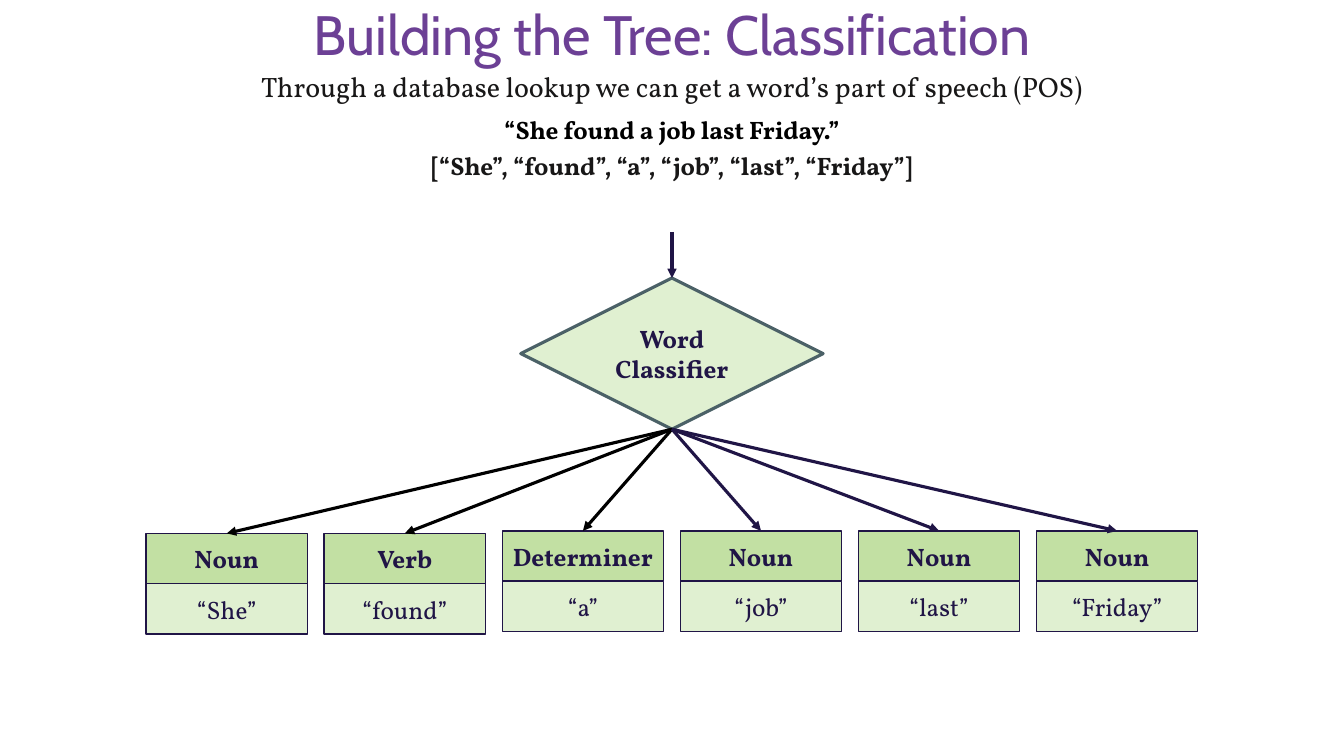
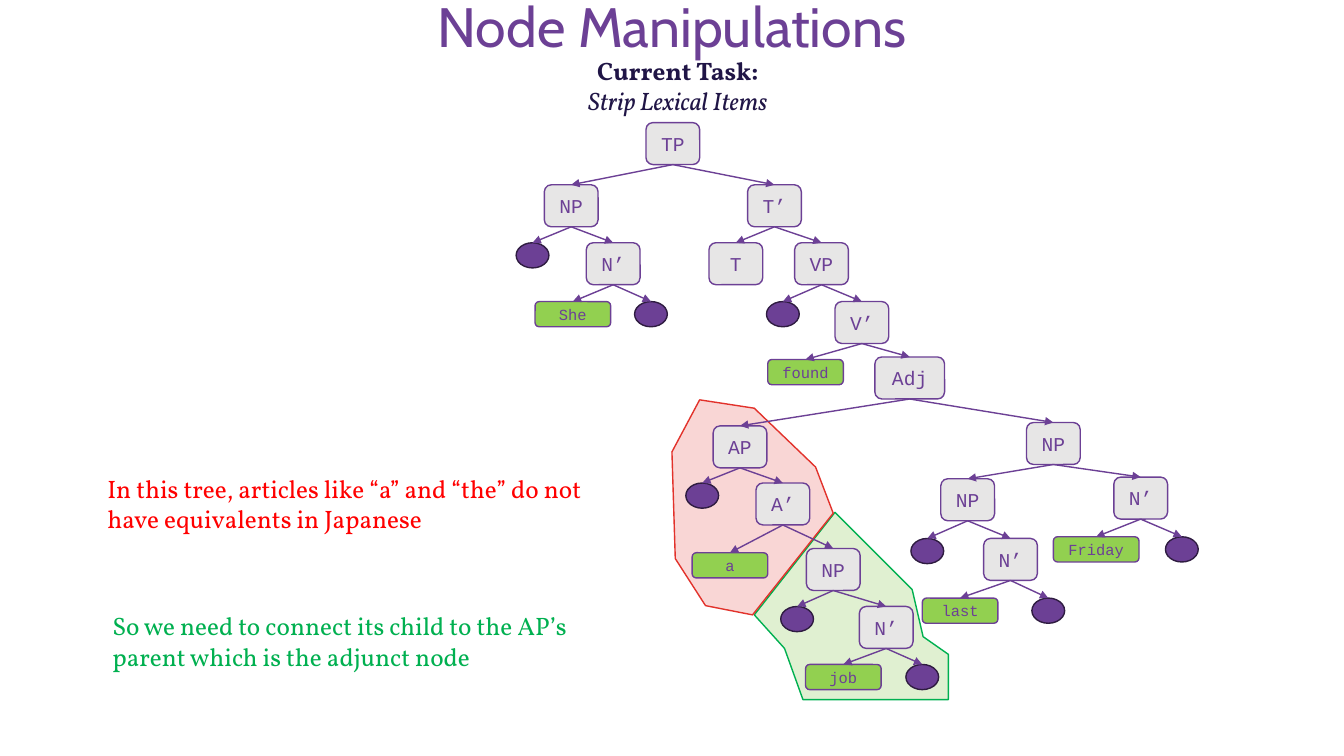
from pptx import Presentation
from pptx.dml.color import RGBColor
from pptx.enum.shapes import MSO_CONNECTOR, MSO_SHAPE
from pptx.enum.text import MSO_ANCHOR, PP_ALIGN
from pptx.oxml.ns import qn
from pptx.util import Inches, Pt
from lxml.etree import SubElement

COLUMNS, ROWS = 160, 90  # square cells, 12 to the inch
PURPLE, NAVY, INK = "6C4095", "201546", "181717"
BLACK, WHITE, RED, GREEN = "000000", "FFFFFF", "FF0000", "00B050"
PALE_GREEN, MID_GREEN, LEAF_GREEN = "E0F0D1", "C2E0A3", "92D050"
SLATE, GREY, PLUM = "4B6167", "E7E6E6", "2F1C41"
PALE_RED, EDGE_RED = "F9D6D5", "E2322B"
TITLE_FONT, BODY_FONT, NODE_FONT = "Cabin", "Vollkorn", "Courier New"


def rgb(hex_code):
    return RGBColor.from_string(hex_code)


def cells(*counts):
    """Turn counts of grid cells into lengths."""
    return [Inches(count / 12) for count in counts]


class Deck:
    def __init__(self):
        self.show = Presentation()
        self.show.slide_width, self.show.slide_height = cells(COLUMNS, ROWS)
        self.slide = None

    def new_slide(self):
        self.slide = self.show.slides.add_slide(self.show.slide_layouts[6])

    def fill_text(self, frame, lines, size, color, font=BODY_FONT, bold=False,
                  align=PP_ALIGN.CENTER):
        frame.text = lines
        for paragraph in frame.paragraphs:
            paragraph.alignment = align
            paragraph.font.size = Pt(size)
            paragraph.font.name = font
            paragraph.font.bold = bold
            paragraph.font.color.rgb = rgb(color)

    def text(self, lines, left, top, width, height, size, color, **style):
        frame = self.slide.shapes.add_textbox(
            *cells(left, top, width, height)).text_frame
        frame.word_wrap = True
        self.fill_text(frame, lines, size, color, **style)
        return frame

    def title(self, words, top, height):
        frame = self.text(words, 11, top, 138, height, 39.6, PURPLE,
                          font=TITLE_FONT)
        frame.vertical_anchor = MSO_ANCHOR.MIDDLE
        frame.paragraphs[0].line_spacing = 0.9

    def banner(self, words, top, color):
        """Place a one-cell table across the middle of the slide."""
        width = 106.7
        table = self.slide.shapes.add_table(
            1, 1, *cells((COLUMNS - width) / 2, top, width, 4.9)).table
        table.first_row = table.horz_banding = False
        cell = table.cell(0, 0)
        cell.fill.solid()
        cell.fill.fore_color.rgb = rgb(WHITE)
        self.fill_text(cell.text_frame, words, 18, color, bold=True)

    def paint(self, shape, fill, edge, weight):
        shape.shadow.inherit = False
        shape.fill.solid()
        shape.fill.fore_color.rgb = rgb(fill)
        shape.line.color.rgb = rgb(edge)
        shape.line.width = Pt(weight)

    def box(self, kind, center, top, width, height, fill, edge, weight=1,
            label="", **style):
        shape = self.slide.shapes.add_shape(
            kind, *cells(center - width / 2, top, width, height))
        self.paint(shape, fill, edge, weight)
        if label:
            shape.text_frame.word_wrap = False
            shape.text_frame.vertical_anchor = MSO_ANCHOR.MIDDLE
            self.fill_text(shape.text_frame, label, **style)
        return shape

    def region(self, corners, fill, edge):
        start, *others = [cells(*corner) for corner in corners]
        outline = self.slide.shapes.build_freeform(*start)
        outline.add_line_segments(others, close=True)
        self.paint(outline.convert_to_shape(), fill, edge, 1)

    def arrow(self, color, weight, child, parent=None, start=(0, 0)):
        """Point at the top of child from parent's bottom, or from start."""
        line = self.slide.shapes.add_connector(
            MSO_CONNECTOR.STRAIGHT, *cells(*start, *start))
        if parent is not None:
            line.begin_connect(parent, 2)
        line.end_connect(child, 0)
        line.line.color.rgb = rgb(color)
        line.line.width = Pt(weight)
        properties = line._element.spPr
        SubElement(properties.find(qn("a:ln")), qn("a:tailEnd"), type="triangle")
        SubElement(properties, qn("a:effectLst"))

    def card(self, part_of_speech, word, center, top):
        width, height = 19.2, 6
        head = self.box(MSO_SHAPE.RECTANGLE, center, top, width, height,
                        MID_GREEN, NAVY, label=part_of_speech, size=18,
                        color=NAVY, bold=True)
        self.box(MSO_SHAPE.RECTANGLE, center, top + height, width, height,
                 PALE_GREEN, NAVY, label=word, size=18, color=NAVY)
        return head

    def phrase(self, label, center, top):
        width = 6.4 if len(label) < 3 else 8.3
        return self.box(MSO_SHAPE.ROUNDED_RECTANGLE, center, top, width, 5,
                        GREY, PURPLE, label=label, size=14, color=PURPLE,
                        font=NODE_FONT)

    def word(self, label, center, top):
        width = 9 if len(label) < 6 else 10.2
        return self.box(MSO_SHAPE.ROUNDED_RECTANGLE, center, top, width, 3,
                        LEAF_GREEN, PURPLE, label=label, size=11,
                        color=PURPLE, font=NODE_FONT)

    def empty_node(self, center, top):
        return self.box(MSO_SHAPE.OVAL, center, top, 3.9, 3, PURPLE, PLUM)

    def tree(self, label, center, top, *children):
        """Draw a node and its subtrees; words have a leading dot."""
        if not label:
            return self.empty_node(center, top)
        if label.startswith("."):
            return self.word(label[1:], center, top)
        parent = self.phrase(label, center, top)
        for child in children:
            self.arrow(PURPLE, 1, self.tree(*child), parent)
        return parent


SENTENCE = [("Noun", "“She”"), ("Verb", "“found”"), ("Determiner", "“a”"),
            ("Noun", "“job”"), ("Noun", "“last”"), ("Noun", "“Friday”")]

# Each node: label, centre column, top row, children
SUBJECT = ("NP", 68, 22,
           ("", 63.4, 28.9),
           ("N’", 73, 28.9, (".She", 68.2, 35.9), ("", 77.5, 35.9)))
OBJECT = ("NP", 99.2, 65.3,
          ("", 94.9, 72.2),
          ("N’", 105.5, 72.2, (".job", 100.4, 79.1), ("", 109.8, 79.1)))
ARTICLE = ("AP", 88.1, 50.7,
           ("", 83.6, 57.5),
           ("A’", 93.2, 57.5, (".a", 86.9, 65.8), OBJECT))
TIME = ("NP", 125.4, 50.3,
        ("NP", 115.2, 57,
         ("", 110.4, 64.1),
         ("N’", 120.3, 64.1, (".last", 114.3, 71.2), ("", 124.8, 71.2))),
        ("N’", 135.8, 56.8, (".Friday", 130.5, 63.9), ("", 140.7, 63.9)))
VERB = ("VP", 97.8, 28.9,
        ("", 93.2, 35.9),
        ("V’", 102.6, 35.9,
         (".found", 95.9, 42.8),
         ("Adj", 108.3, 42.5, ARTICLE, TIME)))
SENTENCE_TREE = ("TP", 80.1, 14.6, SUBJECT,
                 ("T’", 92.2, 22, ("T", 87.6, 28.9), VERB))

CHILD_REGION = [(89.8, 73.2), (93.4, 77.2), (95.6, 83.3), (112.9, 83.3),
                (112.9, 77.9), (109.9, 75.8), (108.6, 70.2), (99.4, 61)]
ARTICLE_REGION = [(89.6, 73.2), (99.2, 61.1), (97.1, 55.6), (89.8, 48.6),
                  (83.3, 47.6), (80, 53.8), (80.4, 66.5), (84, 72.1)]


def classification(deck):
    deck.new_slide()
    deck.title("Building the Tree: Classification", 0.1, 8.8)
    deck.banner("“She found a job last Friday.”", 13.2, BLACK)
    deck.banner("[“She”, “found”, “a”, “job”, “last”, “Friday”]", 17.4, INK)
    middle = COLUMNS / 2
    classifier = deck.box(MSO_SHAPE.DIAMOND, middle, 33.1, 36, 18, PALE_GREEN,
                          SLATE, 2.25, label="Word\nClassifier", size=18,
                          color=NAVY, bold=True)
    deck.arrow(NAVY, 2.25, classifier, start=(middle, 27.6))
    for index, (part_of_speech, word) in enumerate(SENTENCE):
        card = deck.card(part_of_speech, word, 27 + 21.2 * index,
                         63.5 if index < 2 else 63.2)
        deck.arrow(BLACK if index < 3 else NAVY, 2.25, card, classifier)
    deck.text("Through a database lookup we can get a word’s part of speech (POS)",
              20, 7.7, 120, 5.3, 20, INK)


def manipulations(deck):
    deck.new_slide()
    deck.region(CHILD_REGION, PALE_GREEN, GREEN)
    deck.region(ARTICLE_REGION, PALE_RED, EDGE_RED)
    deck.title("Node Manipulations", 0.5, 6.1)
    deck.tree(*SENTENCE_TREE)
    task = deck.text("Current Task:\nStrip Lexical Items",
                     49.9, 6, 61.6, 8.5, 18, NAVY)
    heading, detail = task.paragraphs
    heading.font.bold = True
    detail.font.italic = True
    deck.text("In this tree, articles like “a” and “the” do not have "
              "equivalents in Japanese",
              11.6, 55.7, 60, 8.5, 18, RED, align=PP_ALIGN.LEFT)
    deck.text("So we need to connect its child to the AP’s parent which is "
              "the adjunct node",
              12.2, 72.1, 60, 8.5, 18, GREEN, align=PP_ALIGN.LEFT)


def main():
    deck = Deck()
    classification(deck)
    manipulations(deck)
    deck.show.save("out.pptx")


if __name__ == "__main__":
    main()
